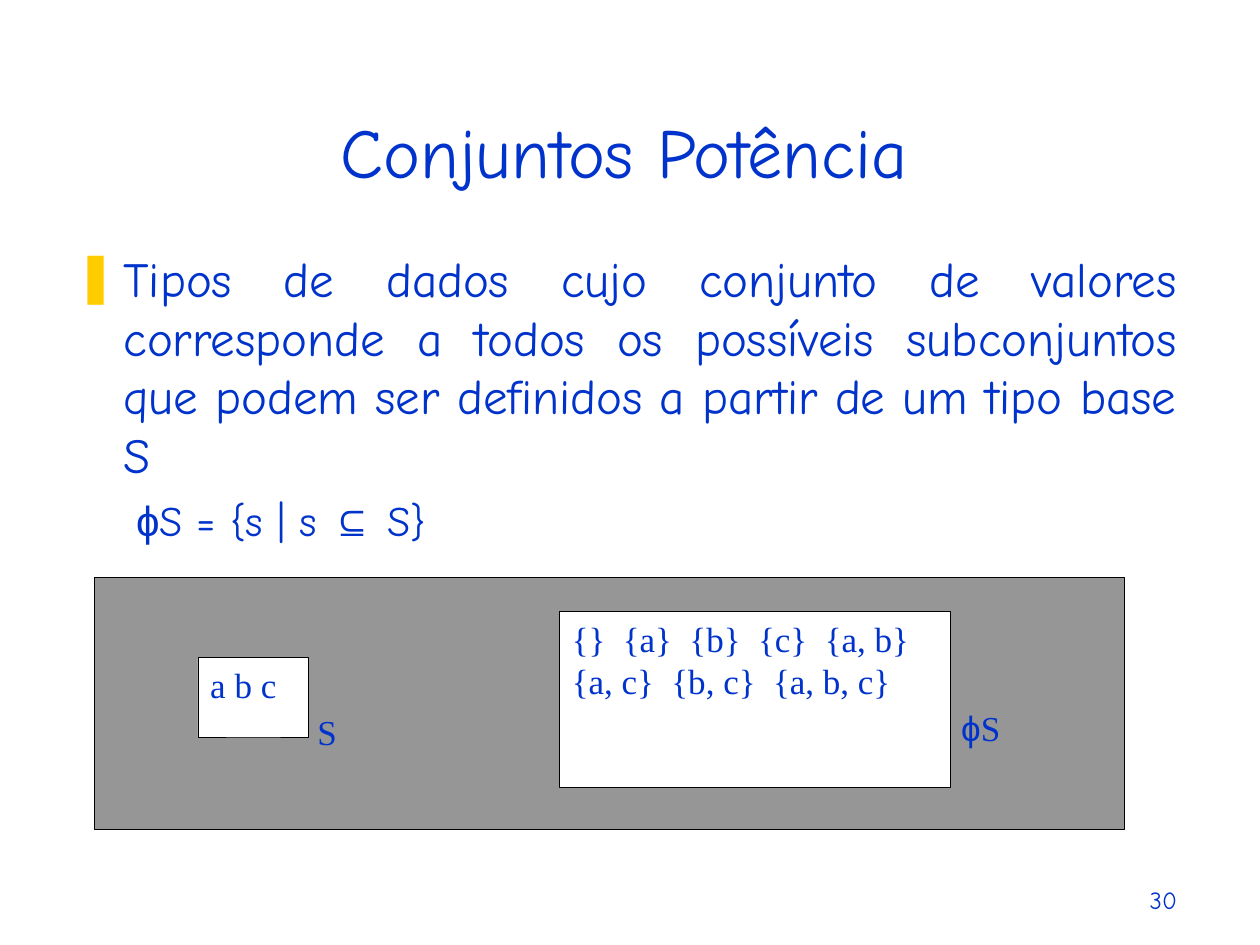
from dataclasses import dataclass
from typing import Optional

from lxml.etree import SubElement
from pptx import Presentation
from pptx.dml.color import RGBColor
from pptx.enum.shapes import MSO_SHAPE as Shape
from pptx.enum.text import MSO_ANCHOR as Anchor, MSO_AUTO_SIZE as AutoSize, PP_ALIGN as Align
from pptx.oxml.ns import qn
from pptx.util import Inches, Pt

COLORS = {"text": "0033CC", "bullet": "FFCC00", "panel": "969696",
          "box": "FFFFFF", "outline": "000000"}
COMIC, SERIF, SANS = "Comic Neue", "Times New Roman", "Arial"


@dataclass
class Run:
    text: str
    font: str


@dataclass
class Block:
    """A part of the diagram; without a fill it is a plain label."""
    left: float
    top: float
    width: float
    height: float
    runs: tuple[Run, ...] = ()
    fill: Optional[str] = None


DIAGRAM = [
    Block(0.75, 4.58, 8.17, 2, fill="panel"),
    Block(1.57, 5.22, 0.88, 0.63, (Run("a b c", SERIF),), "box"),
    Block(2.42, 5.59, 0.46, 0.56, (Run("S", SERIF),)),
    Block(4.44, 4.85, 3.1, 1.4,
          (Run("{}  {a}  {b}  {c}  {a, b}  {a, c}  {b, c}  {a, b, c}", SERIF),), "box"),
    Block(7.53, 5.56, 0.75, 0.72, (Run("ϕ", SANS), Run("S", SERIF))),
]


def rgb(name: str) -> RGBColor:
    return RGBColor.from_string(COLORS[name])


def place(shape, left: float, top: float, width: float, height: float) -> None:
    shape.left, shape.top = Inches(left), Inches(top)
    shape.width, shape.height = Inches(width), Inches(height)


def prepare_frame(shape, anchor: Anchor = Anchor.TOP):
    frame = shape.text_frame
    frame.word_wrap = True
    frame.auto_size = AutoSize.NONE
    frame.vertical_anchor = anchor
    return frame


def write(paragraph, runs: tuple[Run, ...], size: float, align: Align = Align.LEFT,
          before: float = 0) -> None:
    paragraph.alignment = align
    paragraph.space_before = Pt(before)
    for part in runs:
        run = paragraph.add_run()
        run.text = part.text
        run.font.name = part.font
        run.font.size = Pt(size)
        run.font.color.rgb = rgb("text")


def set_bullet(paragraph, margin: float, hanging: float = 0, char: str = "") -> None:
    """Sets the indents and the bullet; without a char the bullet is removed."""
    props = paragraph._p.get_or_add_pPr()
    props.set("marL", str(Inches(margin)))
    props.set("indent", str(-Inches(hanging)))
    if not char:
        SubElement(props, qn("a:buNone"))
        return
    color = SubElement(props, qn("a:buClr"))
    SubElement(color, qn("a:srgbClr"), val=COLORS["bullet"])
    SubElement(props, qn("a:buFont"), typeface=COMIC)
    SubElement(props, qn("a:buChar"), char=char)


def draw_block(group, block: Block) -> None:
    bounds = [Inches(v) for v in (block.left, block.top, block.width, block.height)]
    if block.fill:
        shape = group.shapes.add_shape(Shape.RECTANGLE, *bounds)
        shape.shadow.inherit = False
        shape.fill.solid()
        shape.fill.fore_color.rgb = rgb(block.fill)
        shape.line.color.rgb = rgb("outline")
        shape.line.width = Pt(0.25)
    else:
        shape = group.shapes.add_textbox(*bounds)
    if block.runs:
        write(prepare_frame(shape).paragraphs[0], block.runs, 20)


def main() -> None:
    deck = Presentation()
    deck.slide_width, deck.slide_height = Inches(10), Inches(7.5)
    slide = deck.slides.add_slide(deck.slide_layouts[1])

    title = slide.shapes.title
    place(title, 0.17, 0.5, 9.75, 1.08)
    write(prepare_frame(title, Anchor.BOTTOM).paragraphs[0],
          (Run("Conjuntos Potência ", COMIC),), 40, Align.CENTER)

    body = slide.placeholders[1]
    place(body, 0.5, 1.92, 8.94, 4.56)
    body_frame = prepare_frame(body)
    definition = body_frame.paragraphs[0]
    write(definition, (Run("Tipos de dados cujo conjunto de valores corresponde a todos os "
                           "possíveis subconjuntos que podem ser definidos a partir de um "
                           "tipo base S", COMIC),), 28, Align.JUSTIFY, before=7)
    set_bullet(definition, 0.38, 0.38, "❚")
    formula = body_frame.add_paragraph()
    write(formula, (Run("ϕ", SANS), Run("S = {s | s ", COMIC), Run("⊆", SANS),
                    Run(" S}", COMIC)), 24, Align.JUSTIFY, before=6)
    set_bullet(formula, 0.48)

    diagram = slide.shapes.add_group_shape()
    for block in DIAGRAM:
        draw_block(diagram, block)

    page_number = slide.shapes.add_textbox(Inches(7.36), Inches(6.81), Inches(2.08), Inches(0.5))
    write(prepare_frame(page_number, Anchor.BOTTOM).paragraphs[0],
          (Run("30", COMIC),), 14, Align.RIGHT, before=8.8)

    deck.save("out.pptx")


if __name__ == "__main__":
    main()
